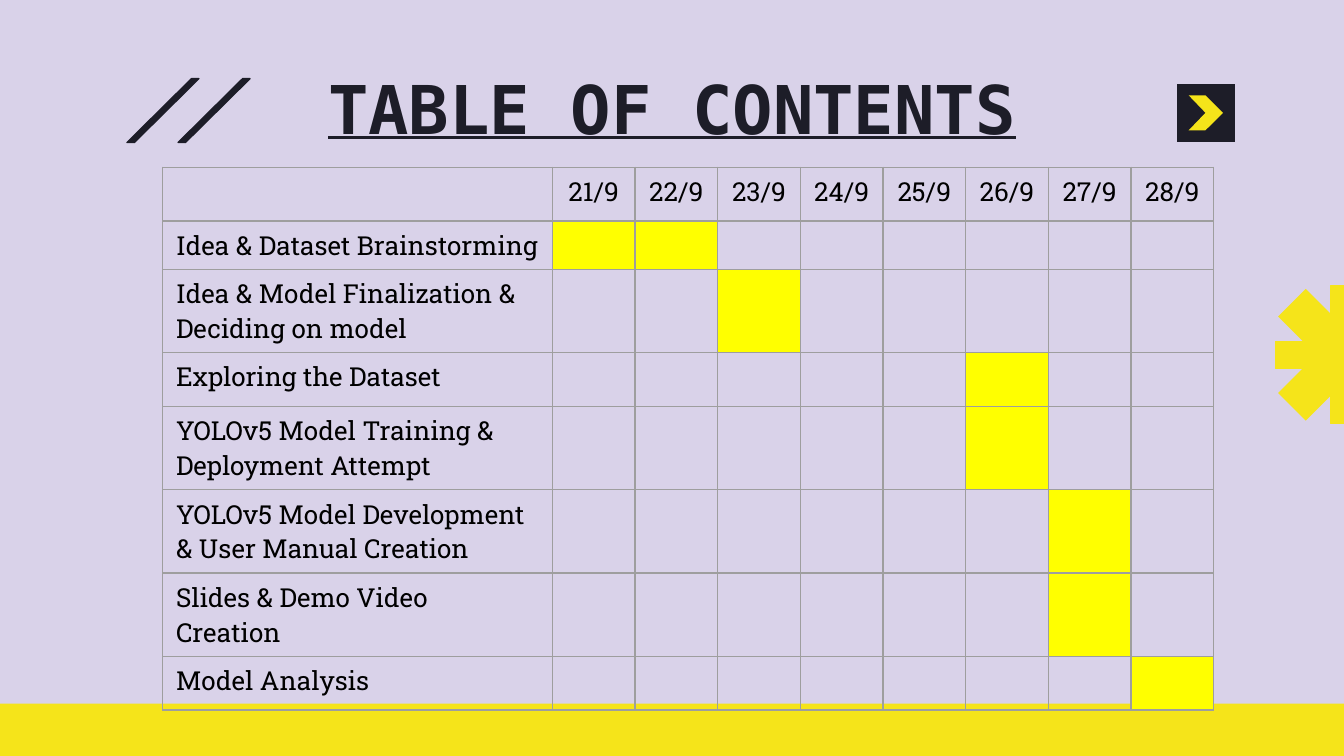
import pptx
import pptx.util
import pptx.dml.color
import pptx.enum.shapes
import pptx.enum.text
import pptx.oxml
import pptx.oxml.ns

SCALE = 4572
COLORS = {
    "back": "D9D2E9",
    "dark": "1D1D28",
    "gold": "F5E41A",
    "mark": "FFFF00",
    "grid": "9E9E9E",
    "text": "000000",
}
DATES = [f"{day}/9" for day in range(21, 29)]
TASKS = [
    ("Idea & Dataset Brainstorming", 72, (1, 2)),
    ("Idea & Model Finalization & Deciding on model", 124, (3,)),
    ("Exploring the Dataset", 80, (6,)),
    ("YOLOv5 Model Training & Deployment Attempt", 124, (6,)),
    ("YOLOv5 Model Development & User Manual Creation", 124, (7,)),
    ("Slides & Demo Video Creation", 124, (7,)),
    ("Model Analysis", 80, (8,)),
]
KINDS = pptx.enum.shapes.MSO_SHAPE
ALIGN = pptx.enum.text.PP_ALIGN


def px(size):
    return pptx.util.Emu(size * SCALE)


def rgb(name):
    return pptx.dml.color.RGBColor.from_string(COLORS[name])


def paint(shape, color, edge=False):
    shape.shadow.inherit = False
    shape.fill.solid()
    shape.fill.fore_color.rgb = rgb(color)
    if edge:
        shape.line.color.rgb = rgb(color)
        shape.line.width = pptx.util.Pt(0.75)
    else:
        shape.line.fill.background()


def preset(shapes, kind, box, color, adjust=None, edge=False):
    shape = shapes.add_shape(kind, *map(px, box))
    if adjust is not None:
        shape.adjustments[0] = adjust
    paint(shape, color, edge)


def outline(shapes, left, top, points, color, edge=False):
    spots = [(left + x, top + y) for x, y in points]
    build = shapes.build_freeform(*spots[0], scale=SCALE)
    build.add_line_segments(spots[1:], close=True)
    paint(build.convert_to_shape(), color, edge)


def write(para, text, size, font, color, align):
    para.text = text
    para.alignment = align
    for run in para.runs:
        run.font.size = pptx.util.Pt(size)
        run.font.name = font
        run.font.color.rgb = rgb(color)


def star(shapes, left, top, size):
    group = shapes.add_group_shape().shapes
    preset(group, KINDS.MATH_MULTIPLY, (left, top, size, size), "gold", 0.195)
    inner = size - 20
    preset(group, KINDS.MATH_PLUS, (left + 10, top + 10, inner, inner), "gold", 0.144, True)


def title(shapes, left, top, width, height):
    box = shapes.add_textbox(*map(px, (left, top, width, height)))
    frame = box.text_frame
    frame.word_wrap = True
    frame.margin_left = frame.margin_right = px(20)
    frame.margin_top = frame.margin_bottom = px(20)
    para = frame.paragraphs[0]
    write(para, "TABLE OF CONTENTS", 36, "DejaVu Sans Mono", "dark", ALIGN.CENTER)
    para.runs[0].font.bold = True
    para.runs[0].font.underline = True


def button(shapes, left, top, size):
    group = shapes.add_group_shape().shapes
    square = [(0, 0), (0, size), (size, size), (size, 0)]
    outline(group, left, top, square, "dark")
    arrow = [(0, 0), (25, 26), (0, 52), (25, 52), (51, 26), (25, 0)]
    outline(group, left + 17, top + 17, arrow, "gold")


def slashes(shapes, left, top, width, height):
    group = shapes.add_group_shape().shapes
    points = [(width - 11, 0), (0, height), (11, height), (width, 0)]
    for step in (0, 76):
        outline(group, left + step, top, points, "dark", True)


def border(cell):
    props = cell._tc.get_or_add_tcPr()
    space = pptx.oxml.ns.nsdecls("a")
    for spot, side in enumerate("LRTB"):
        line = pptx.oxml.parse_xml(
            f'<a:ln{side} {space} w="9525"><a:solidFill>'
            f'<a:srgbClr val="{COLORS["grid"]}"/></a:solidFill></a:ln{side}>'
        )
        props.insert(spot, line)


def plan(shapes, left, top, width, first):
    heights = [80] + [task[1] for task in TASKS]
    size = (len(heights), len(DATES) + 1)
    frame = shapes.add_table(*size, *map(px, (left, top, width, sum(heights))))
    table = frame.table
    table.first_row = False
    table.horz_banding = False
    for index, column in enumerate(table.columns):
        column.width = px((width - first) // len(DATES) if index else first)
    rows = [([""] + DATES, ())]
    rows += [([name] + [""] * len(DATES), marks) for name, _, marks in TASKS]
    for row, height, (texts, marks) in zip(table.rows, heights, rows):
        row.height = px(height)
        for index, (cell, text) in enumerate(zip(row.cells, texts)):
            if index in marks:
                cell.fill.solid()
                cell.fill.fore_color.rgb = rgb("mark")
            else:
                cell.fill.background()
            border(cell)
            if text:
                align = ALIGN.CENTER if index else ALIGN.LEFT
                write(cell.text_frame.paragraphs[0], text, 14, "Roboto Slab", "text", align)
            else:
                cell.margin_top = cell.margin_bottom = 0


def main():
    deck = pptx.Presentation()
    deck.slide_width = px(2000)
    deck.slide_height = px(1125)
    slide = deck.slides.add_slide(deck.slide_layouts[6])
    slide.background.fill.solid()
    slide.background.fill.fore_color.rgb = rgb("back")
    shapes = slide.shapes
    star(shapes, 1851, 379, 298)
    preset(shapes, KINDS.RECTANGLE, (0, 1047, 2000, 78), "gold")
    title(shapes, 156, 80, 1688, 162)
    button(shapes, 1752, 125, 86)
    slashes(shapes, 189, 117, 107, 95)
    plan(shapes, 242, 249, 1564, 580)
    deck.save("out.pptx")


if __name__ == "__main__":
    main()
